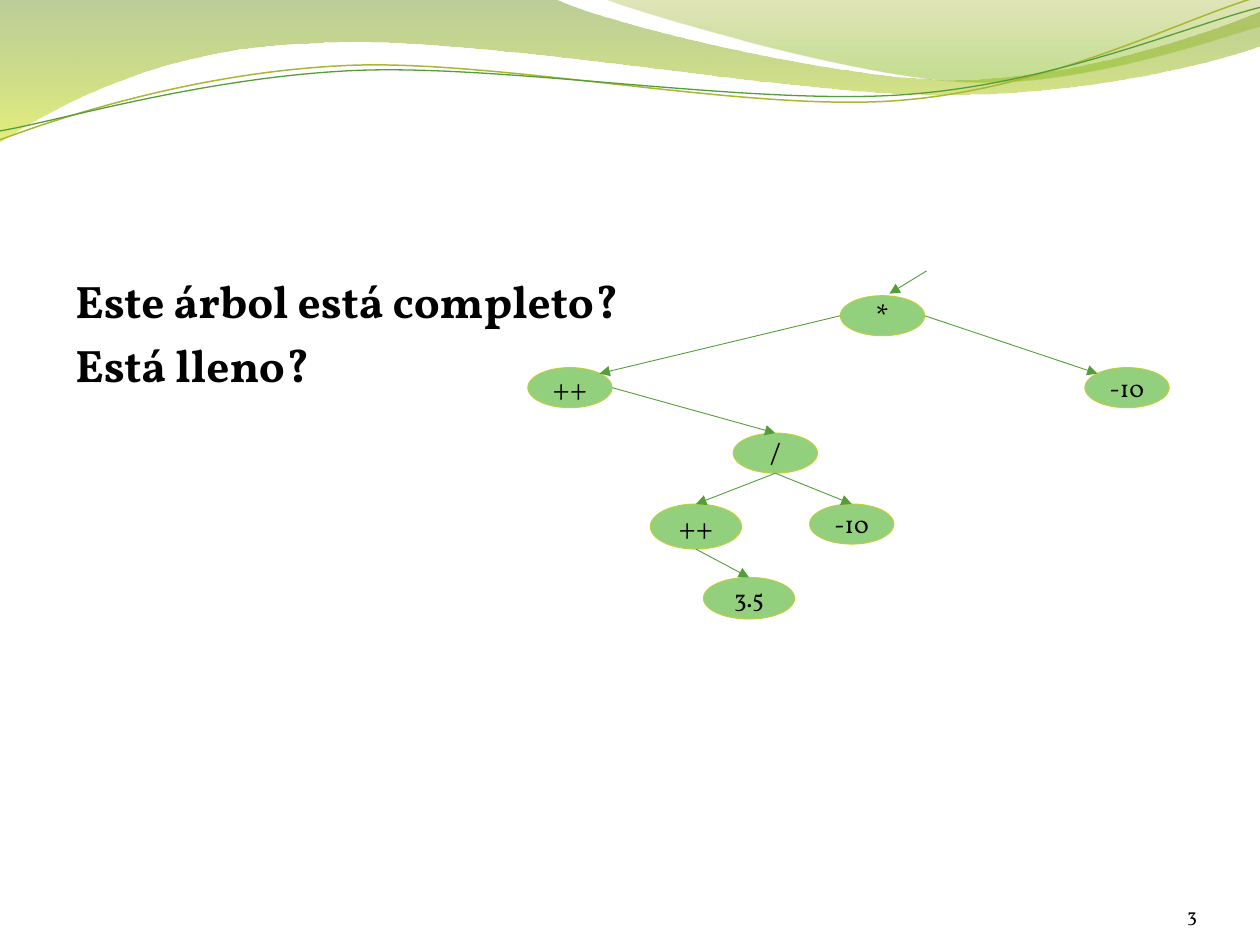
from lxml.etree import SubElement
from pptx import Presentation
from pptx.dml.color import RGBColor
from pptx.enum.shapes import MSO_CONNECTOR, MSO_SHAPE
from pptx.enum.text import MSO_ANCHOR as Anchor, PP_ALIGN as Align
from pptx.oxml.ns import qn
from pptx.util import Cm, Pt

FONT = "Vollkorn"
COLORS = {
    "text": "000000", "node": "93D07D", "rim": "C0CF3A", "edge": "549E39",
    "gold": "A9B733", "olive": "69921C", "lime": "CCE10F",
    "moss": "9BAA1A", "leaf": "81BA16",
}

# Each band: start, then segments of 2 (line) or 6 (Bézier) numbers, then
# gradient stops as (position, colour, opacity)
BANDS = [
    ((0, 0),
     [(11.18, -0.03), (12.07, 0.43, 16.84, 1.6, 19.25, 1.6),
      (21.67, 1.6, 24.33, 0.66, 25.4, 0.23), (25.43, 0.91),
      (24.97, 1.12, 22.07, 1.93, 18.95, 1.91),
      (15.8, 1.91, 9.68, 0.71, 6.53, 0.86),
      (3.28, 0.91, 1.17, 2.11, -0.03, 2.87), (0, 0)],
     [(0, "olive", 45), (1, "lime", 55)]),
    ((12.17, -0.03),
     [(12.93, 0.28, 17.32, 1.57, 19.51, 1.65),
      (21.72, 1.75, 24.41, 0.81, 25.4, 0.53), (25.4, 0), (12.17, -0.03)],
     [(0, "moss", 30), (0.8, "leaf", 45)]),
]
# Each strand: start, segments, colour, width in points
STRANDS = [
    ((0, 2.82),
     [(1.22, 2.36, 3.99, 1.45, 7.01, 1.32),
      (10.03, 1.19, 15.04, 2.26, 18.08, 2.03),
      (21.16, 1.8, 23.83, 0.38, 25.32, -0.05)], "gold", 0.85),
    ((0, 2.64),
     [(1.19, 2.44, 4.14, 1.55, 7.19, 1.42),
      (10.21, 1.3, 15.16, 2.13, 18.21, 1.91),
      (21.23, 1.7, 23.9, 0.53, 25.4, 0.15)], "edge", 0.75),
]

# Tree nodes: label, left, top, width, height, text size
NODES = {
    "root": ("*", 6.3, 0.5, 1.7, 0.81, 18),
    "left": ("++", 0, 1.95, 1.7, 0.81, 18),
    "right": ("-10", 11.23, 1.95, 1.7, 0.81, 14),
    "divide": ("/", 4.14, 3.27, 1.7, 0.81, 18),
    "plus": ("++", 2.47, 4.7, 1.84, 0.91, 18),
    "minus_ten": ("-10", 5.68, 4.7, 1.7, 0.81, 14),
    "decimal": ("3.5", 3.54, 6.18, 1.84, 0.84, 14),
}
# Points on an ellipse as fractions of its box
SIDES = {
    "top": (0.5, 0), "bottom": (0.5, 1), "left": (0, 0.5), "right": (1, 0.5),
    "top left": (0.15, 0.15), "top right": (0.85, 0.15),
}
EDGES = [
    ("root", "left", "left", "top right"),
    ("root", "right", "right", "top left"),
    ("left", "right", "divide", "top"),
    ("divide", "bottom", "plus", "top"),
    ("divide", "bottom", "minus_ten", "top"),
    ("plus", "bottom", "decimal", "top"),
]


def color(name):
    return RGBColor.from_string(COLORS[name])


def add_curve(page, left, top, start, segments, close):
    """Draw a freeform, turning six-number segments into Bézier curves."""
    numbers = [*start, *(value for segment in segments for value in segment)]
    points = [(Cm(left + x), Cm(top + y))
              for x, y in zip(numbers[::2], numbers[1::2])]
    builder = page.shapes.build_freeform(*points[0])
    builder.add_line_segments(points[1:], close=close)
    shape = builder.convert_to_shape()
    shape.shadow.inherit = False
    lines = iter(list(shape._element.spPr.iter(qn("a:lnTo"))))
    for segment in segments:
        line = next(lines)
        if len(segment) == 6:
            line.tag = qn("a:cubicBezTo")
            for _ in range(2):
                control = next(lines)
                line.append(control[0])
                control.getparent().remove(control)
    return shape


def add_waves(page, left, top):
    # Translucent bands
    for start, segments, stops in BANDS:
        band = add_curve(page, left, top, start, segments, True)
        band.line.fill.background()
        band.fill.gradient()
        band.fill.gradient_angle = 270
        for stop, (position, name, _) in zip(band.fill.gradient_stops, stops):
            stop.position = position
            stop.color.rgb = color(name)
        tints = band._element.spPr.iter(qn("a:srgbClr"))
        for tint, (_, _, opacity) in zip(list(tints), stops):
            SubElement(tint, qn("a:alpha"), val=str(opacity * 1000))
    # Thin strands
    for start, segments, name, width in STRANDS:
        strand = add_curve(page, left, top, start, segments, False)
        strand.fill.background()
        strand.line.color.rgb = color(name)
        strand.line.width = Pt(width)


def write(para, text, size, align, bold=False):
    para.text = text
    para.alignment = align
    para.font.name = FONT
    para.font.size = Pt(size)
    para.font.bold = bold
    para.font.color.rgb = color("text")


def set_margins(frame, size):
    frame.margin_left = frame.margin_right = size
    frame.margin_top = frame.margin_bottom = size


def add_questions(page, left, top, width, height):
    box = page.shapes.add_textbox(Cm(left), Cm(top), Cm(width), Cm(height))
    frame = box.text_frame
    frame.word_wrap = True
    first, second = frame.paragraphs[0], frame.add_paragraph()
    write(first, "Este árbol está completo?", 26, Align.JUSTIFY, True)
    write(second, "Está lleno?", 26, Align.JUSTIFY, True)
    first.space_before = second.space_before = Pt(5.2)


def add_page_number(page, left, top, width, height):
    box = page.shapes.add_textbox(Cm(left), Cm(top), Cm(width), Cm(height))
    frame = box.text_frame
    frame.word_wrap = True
    frame.vertical_anchor = Anchor.BOTTOM
    set_margins(frame, 0)
    write(frame.paragraphs[0], "3", 11, Align.RIGHT)


def add_arrow(page, start, end):
    arrow = page.shapes.add_connector(
        MSO_CONNECTOR.STRAIGHT, *(Cm(value) for value in (*start, *end)))
    arrow.line.color.rgb = color("edge")
    arrow.line.width = Pt(0.5)
    SubElement(arrow.line._get_or_add_ln(), qn("a:tailEnd"), type="triangle")
    SubElement(arrow._element.spPr, qn("a:effectLst"))


def add_tree(page, left, top):
    def side_point(node, side):
        _, x, y, width, height, _ = NODES[node]
        across, down = SIDES[side]
        return left + x + across * width, top + y + down * height

    # Nodes
    for label, x, y, width, height, size in NODES.values():
        node = page.shapes.add_shape(MSO_SHAPE.OVAL, Cm(left + x), Cm(top + y),
                                     Cm(width), Cm(height))
        node.shadow.inherit = False
        node.fill.solid()
        node.fill.fore_color.rgb = color("node")
        node.line.color.rgb = color("rim")
        node.line.width = Pt(0.5)
        frame = node.text_frame
        frame.word_wrap = False
        frame.vertical_anchor = Anchor.MIDDLE
        set_margins(frame, 0)
        write(frame.paragraphs[0], label, size, Align.CENTER)
    # Arrow into the root, then the edges
    add_arrow(page, (left + 8.04, top), (left + 7.29, top + 0.46))
    for parent, out_side, child, in_side in EDGES:
        add_arrow(page, side_point(parent, out_side), side_point(child, in_side))


def main():
    deck = Presentation()
    deck.slide_width, deck.slide_height = Cm(25.4), Cm(19.05)
    page = deck.slides.add_slide(deck.slide_layouts[6])
    add_waves(page, 0, 0)
    add_questions(page, 1.27, 5.38, 22.86, 12.19)
    add_page_number(page, 22.02, 17.65, 2.11, 1.02)
    add_tree(page, 10.64, 5.46)
    deck.save("out.pptx")


if __name__ == "__main__":
    main()
